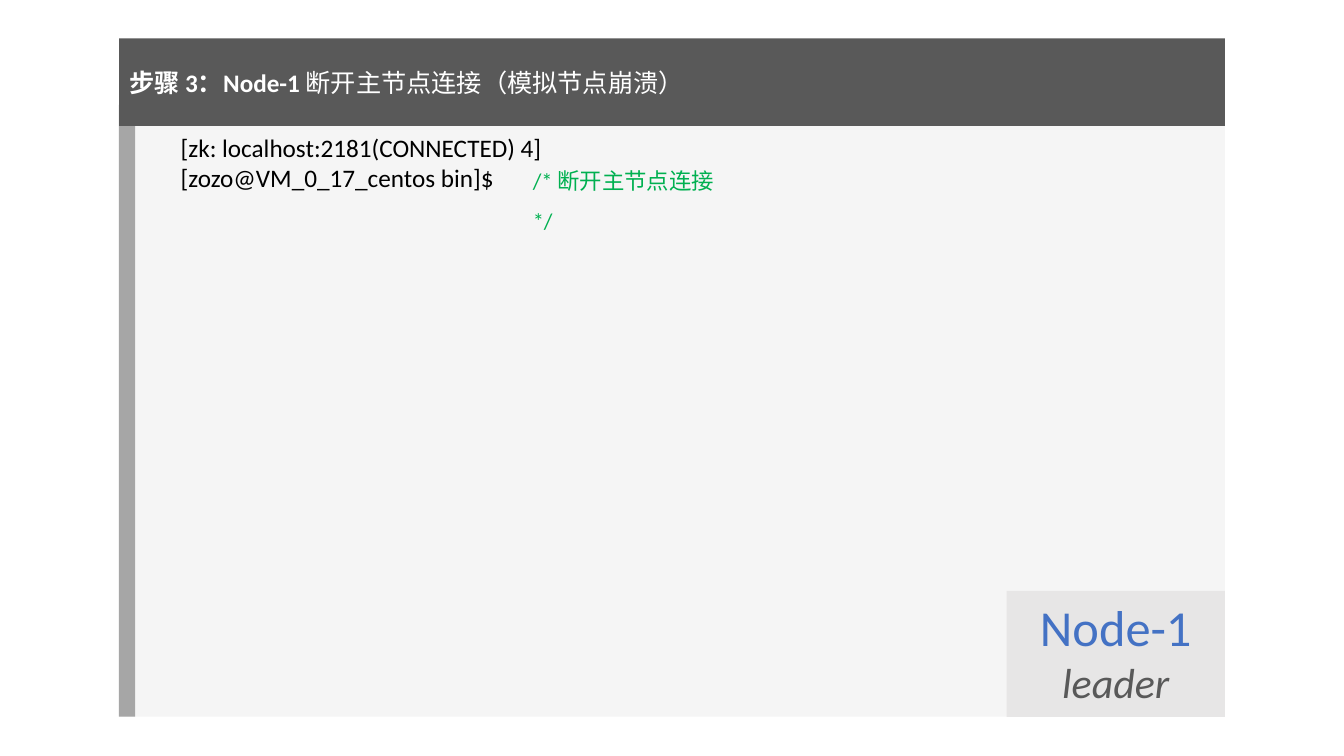
from lxml.etree import SubElement
from pptx import Presentation
from pptx.dml.color import RGBColor
from pptx.enum.shapes import MSO_SHAPE
from pptx.enum.text import MSO_ANCHOR, PP_ALIGN
from pptx.oxml.ns import qn
from pptx.util import Pt

LATIN_FONT, CHINESE_FONT = "Calibri", "Noto Sans CJK SC"

# Each paragraph is a list of runs: (text, size, colour, bold, italic)
HEADING = [[("步骤 3：Node-1 ", 18, "FFFFFF", True, False),
            ("断开主节点连接（模拟节点崩溃）", 18, "FFFFFF", False, False)]]
TERMINAL = [[("[zk: localhost:2181(CONNECTED) 4]", 18, "000000", False, False)],
            [("[zozo@VM_0_17_centos bin]$", 18, "000000", False, False)]]
COMMENT = [[("/* 断开主节点连接 */", 16, "00B050", False, False)]]
BADGE = [[("Node-1", 36, "4472C4", False, False)],
         [("leader", 30, "595959", False, True)]]

# Lengths in points
LEFT, WIDTH = 85, 790
HEADER_TOP, HEADER_HEIGHT = 27.5, 62.5
PANEL_TOP, PANEL_HEIGHT = 75, 437
STRIPE_WIDTH = 11.5
BADGE_WIDTH, BADGE_HEIGHT = 156, 90
BADGE_LEFT = LEFT + WIDTH - BADGE_WIDTH
BADGE_TOP = PANEL_TOP + PANEL_HEIGHT - BADGE_HEIGHT


def colour(value):
    return RGBColor.from_string(value)


def paint(shape, value):
    shape.fill.solid()
    shape.fill.fore_color.rgb = colour(value)


def add_rectangle(page, left, top, width, height, fill):
    shape = page.shapes.add_shape(
        MSO_SHAPE.RECTANGLE, Pt(left), Pt(top), Pt(width), Pt(height))
    paint(shape, fill)
    shape.line.fill.background()
    shape.shadow.inherit = False
    return shape


def write(shape, paragraphs, align=PP_ALIGN.LEFT, anchor=MSO_ANCHOR.TOP, spacing=1.0):
    frame = shape.text_frame
    frame.word_wrap = True
    frame.vertical_anchor = anchor
    for index, runs in enumerate(paragraphs):
        para = frame.add_paragraph() if index else frame.paragraphs[0]
        para.alignment = align
        para.line_spacing = spacing
        para.space_before = Pt(0)
        for text, size, value, bold, italic in runs:
            span = para.add_run()
            span.text = text
            span.font.size = Pt(size)
            span.font.bold = bold
            span.font.italic = italic
            span.font.color.rgb = colour(value)
            span.font.name = LATIN_FONT
            east_asian = SubElement(span.font._element, qn("a:ea"))
            east_asian.set("typeface", CHINESE_FONT)


def add_text(page, left, top, width, height, paragraphs, spacing=1.0):
    box = page.shapes.add_textbox(Pt(left), Pt(top), Pt(width), Pt(height))
    write(box, paragraphs, spacing=spacing)


def main():
    deck = Presentation()
    deck.slide_width, deck.slide_height = Pt(960), Pt(540)
    page = deck.slides.add_slide(deck.slide_layouts[5])

    add_rectangle(page, LEFT, PANEL_TOP, WIDTH, PANEL_HEIGHT, "F5F5F5")
    add_text(page, 122, 91, 631, 51, TERMINAL)
    add_rectangle(page, LEFT, PANEL_TOP, STRIPE_WIDTH, PANEL_HEIGHT, "A6A6A6")
    badge = add_rectangle(page, BADGE_LEFT, BADGE_TOP, BADGE_WIDTH, BADGE_HEIGHT, "E7E6E6")
    write(badge, BADGE, align=PP_ALIGN.CENTER)
    add_text(page, 373.5, 106, 158, 36, COMMENT, spacing=1.5)

    header = page.shapes.title
    header.left, header.top = Pt(LEFT), Pt(HEADER_TOP)
    header.width, header.height = Pt(WIDTH), Pt(HEADER_HEIGHT)
    paint(header, "595959")
    write(header, HEADING, anchor=MSO_ANCHOR.MIDDLE)
    page.shapes._spTree.append(header._element)  # the header covers the panel's top edge

    deck.save("out.pptx")


if __name__ == "__main__":
    main()
